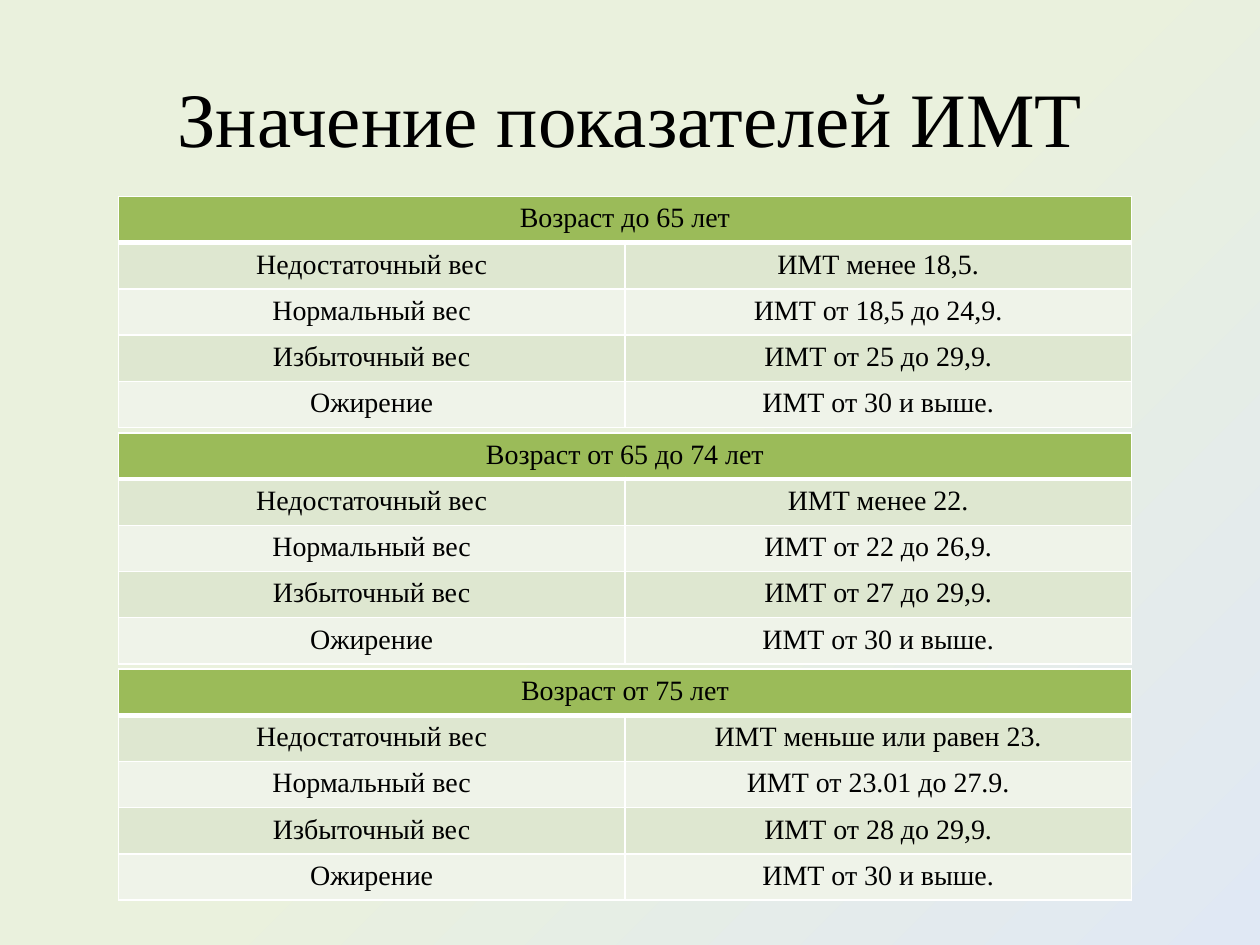
from dataclasses import dataclass

from lxml import etree
from pptx import Presentation
from pptx.dml.color import RGBColor
from pptx.enum.text import MSO_ANCHOR, PP_ALIGN
from pptx.oxml.ns import qn
from pptx.util import Inches, Pt

CENTER = PP_ALIGN.CENTER
MIDDLE = MSO_ANCHOR.MIDDLE


@dataclass(frozen=True)
class Theme:
    font: str = "Times New Roman"
    title_size: int = 44
    table_size: int = 16
    text: str = "000000"
    header: str = "9BBB59"
    bands: tuple = ("DEE7D0", "EFF3E9")
    border: str = "FFFFFF"
    background_start: str = "EAF1DD"
    background_end: str = "E0E8F4"


theme = Theme()


def write_text(text_frame, text, *, size, color=theme.text, align=CENTER):
    paragraph = text_frame.paragraphs[0]
    paragraph.alignment = align
    run = paragraph.add_run()
    run.text = text
    run.font.name = theme.font
    run.font.size = Pt(size)
    run.font.bold = False
    run.font.color.rgb = RGBColor.from_string(color)


def set_borders(cell, **widths):
    properties = cell._tc.get_or_add_tcPr()
    for index, side in enumerate(("left", "right", "top", "bottom")):
        line = etree.Element(qn(f"a:ln{side[0].upper()}"), w=str(Pt(widths.get(side, 1))))
        fill = etree.SubElement(line, qn("a:solidFill"))
        etree.SubElement(fill, qn("a:srgbClr"), val=theme.border)
        properties.insert(index, line)


presentation = Presentation()
presentation.slide_width = Inches(10)
presentation.slide_height = Inches(7.5)
slide = presentation.slides.add_slide(presentation.slide_layouts[6])

background = slide.background.fill
background.gradient()
background.gradient_angle = 315
gradient = (0.5, theme.background_start), (1, theme.background_end)
for stop, (position, color) in zip(background.gradient_stops, gradient):
    stop.position = position
    stop.color.rgb = RGBColor.from_string(color)

title = slide.shapes.add_textbox(Inches(0.5), Inches(0.3), Inches(9), Inches(1.25))
title.text_frame.word_wrap = True
title.text_frame.vertical_anchor = MIDDLE
write_text(title.text_frame, "Значение показателей ИМТ", size=theme.title_size)

categories = ["Недостаточный вес", "Нормальный вес", "Избыточный вес", "Ожирение"]
age_groups = {
    "Возраст до 65 лет": [
        "ИМТ менее 18,5.", "ИМТ от 18,5 до 24,9.", "ИМТ от 25 до 29,9.", "ИМТ от 30 и выше.",
    ],
    "Возраст от 65 до 74 лет": [
        "ИМТ менее 22.", "ИМТ от 22 до 26,9.", "ИМТ от 27 до 29,9.", "ИМТ от 30 и выше.",
    ],
    "Возраст от 75 лет": [
        "ИМТ меньше или равен 23.", "ИМТ от 23.01 до 27.9.", "ИМТ от 28 до 29,9.", "ИМТ от 30 и выше.",
    ],
}
row_count = len(categories) + 1
row_height = 0.3
column_width = 4.02
table_left, first_top, table_step = 0.94, 1.56, 1.875

for group_index, (age, values) in enumerate(age_groups.items()):
    table = slide.shapes.add_table(
        row_count, 2,
        Inches(table_left), Inches(first_top + group_index * table_step),
        Inches(2 * column_width), Inches(row_count * row_height),
    ).table
    rows = [(age, ""), *zip(categories, values)]
    for row_index, row in enumerate(rows):
        color = theme.bands[(row_index - 1) % 2] if row_index else theme.header
        for column_index, text in enumerate(row):
            cell = table.cell(row_index, column_index)
            cell.fill.solid()
            cell.fill.fore_color.rgb = RGBColor.from_string(color)
            set_borders(cell, top=3 if row_index == 1 else 1, bottom=3 if row_index == 0 else 1)
            if text:
                write_text(cell.text_frame, text, size=theme.table_size)
    table.cell(0, 0).merge(table.cell(0, 1))

presentation.save("out.pptx")
